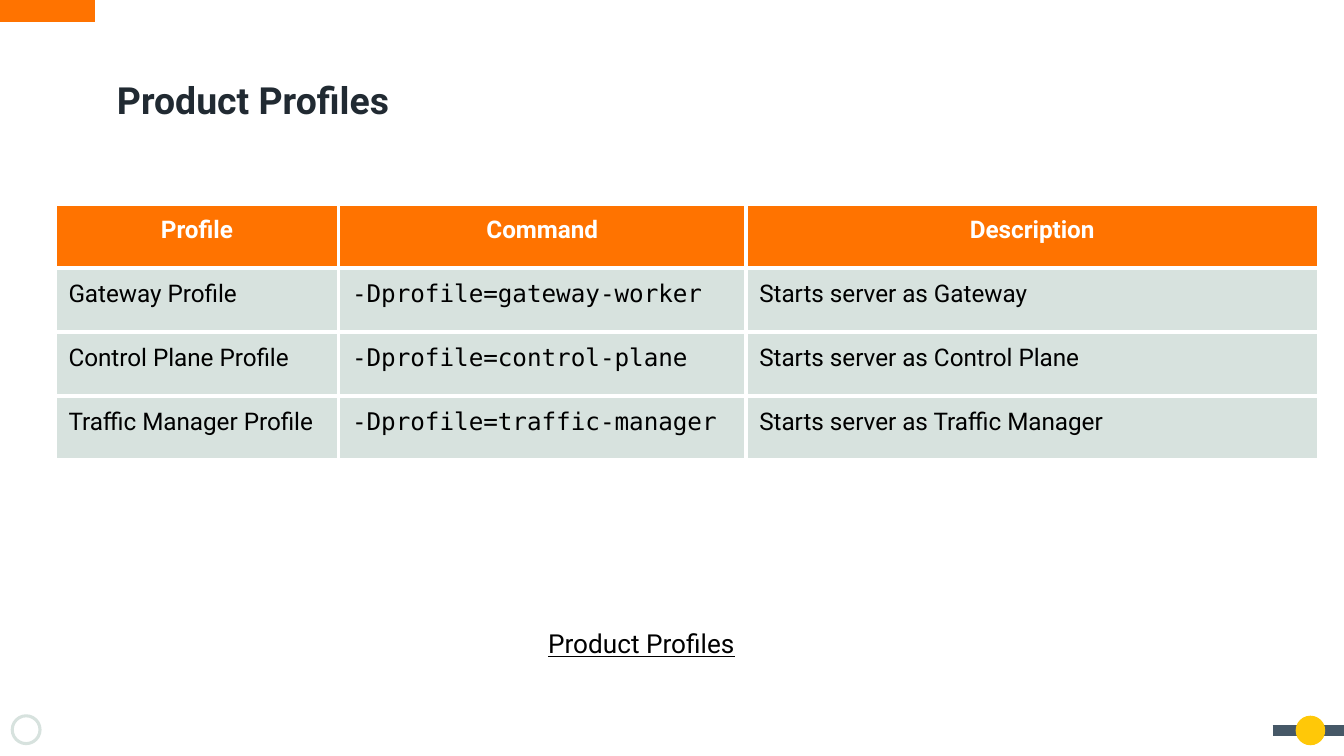
import dataclasses

import lxml.etree
import pptx
import pptx.dml.color
import pptx.enum.shapes
import pptx.enum.text
import pptx.oxml.ns
import pptx.util

Inches = pptx.util.Inches
Align = pptx.enum.text.PP_ALIGN
Anchor = pptx.enum.text.MSO_ANCHOR
Shape = pptx.enum.shapes.MSO_SHAPE


@dataclasses.dataclass(frozen=True)
class Theme:
    orange: str = "FF7300"
    slate: str = "465867"
    yellow: str = "FFC808"
    pale: str = "D7E2DE"
    ink: str = "212A32"
    black: str = "000000"
    white: str = "FFFFFF"
    sans: str = "Roboto"
    mono: str = "DejaVu Sans Mono"
    title_size: float = 20
    caption_size: float = 14
    table_size: float = 13
    border_width: float = 2.25


THEME = Theme()
HEADINGS = ("Profile", "Command", "Description")
PROFILES = (
    ("Gateway Profile", "-Dprofile=gateway-worker", "Starts server as Gateway"),
    ("Control Plane Profile", "-Dprofile=control-plane", "Starts server as Control Plane"),
    ("Traffic Manager Profile", "-Dprofile=traffic-manager", "Starts server as Traffic Manager"),
)


def color(value):
    return pptx.dml.color.RGBColor.from_string(value)


def apply(target, values):
    for name, value in values.items():
        setattr(target, name, value)


def add_xml(parent, tag, **attributes):
    return lxml.etree.SubElement(parent, pptx.oxml.ns.qn(tag), attributes)


def write(frame, text, ink, align=Align.LEFT, **font):
    para = frame.paragraphs[0]
    para.alignment = align
    span = para.add_run()
    span.text = text
    apply(span.font, font)
    span.font.color.rgb = color(ink)


def set_frame(frame, anchor):
    apply(frame, {
        "word_wrap": True,
        "auto_size": pptx.enum.text.MSO_AUTO_SIZE.NONE,
        "vertical_anchor": anchor,
        "margin_left": Inches(0.1),
        "margin_right": Inches(0.1),
        "margin_top": Inches(0.1),
        "margin_bottom": Inches(0.1),
    })


def add_bar(page, left, right, middle, ink, width):
    bar = page.shapes.add_connector(
        pptx.enum.shapes.MSO_CONNECTOR.STRAIGHT,
        Inches(left), Inches(middle), Inches(right), Inches(middle))
    bar.line.color.rgb = color(ink)
    bar.line.width = pptx.util.Pt(width)
    add_xml(bar.element.spPr, "a:effectLst")


def add_round(page, kind, left, top, size, ink):
    mark = page.shapes.add_shape(kind, Inches(left), Inches(top), Inches(size), Inches(size))
    mark.shadow.inherit = False
    mark.fill.solid()
    mark.fill.fore_color.rgb = color(ink)
    mark.line.fill.background()
    return mark


def add_decoration(page, width, height):
    add_bar(page, 0, 0.71, 0.08, THEME.orange, 12)
    add_bar(page, width - 0.53, width, height - 0.19, THEME.slate, 6)
    add_round(page, Shape.OVAL, width - 0.36, height - 0.3, 0.22, THEME.yellow)
    ring = add_round(page, Shape.DONUT, 0.08, height - 0.31, 0.23, THEME.pale)
    ring.adjustments[0] = 0.1


def add_title(page, left, top, width, height):
    title = page.shapes.title
    apply(title, {"left": Inches(left), "top": Inches(top),
                  "width": Inches(width), "height": Inches(height)})
    set_frame(title.text_frame, Anchor.MIDDLE)
    write(title.text_frame, "Product Profiles", THEME.ink, name=THEME.sans,
          size=pptx.util.Pt(THEME.title_size), bold=True)


def add_caption(page, left, top, width, height):
    caption = page.shapes.add_textbox(Inches(left), Inches(top), Inches(width), Inches(height))
    set_frame(caption.text_frame, Anchor.TOP)
    write(caption.text_frame, "Product Profiles", THEME.black, name=THEME.sans,
          size=pptx.util.Pt(THEME.caption_size), underline=True)


def format_cell(cell, fill):
    apply(cell, {"margin_left": Inches(0.1), "margin_right": Inches(0.1),
                 "margin_top": Inches(0.09), "margin_bottom": Inches(0.09),
                 "vertical_anchor": Anchor.TOP})
    properties = cell._tc.get_or_add_tcPr()
    for side in ("L", "R", "T", "B"):
        edge = add_xml(properties, f"a:ln{side}", w=str(pptx.util.Pt(THEME.border_width)))
        add_xml(add_xml(edge, "a:solidFill"), "a:srgbClr", val=THEME.white)
    cell.fill.solid()
    cell.fill.fore_color.rgb = color(fill)


def add_profile_table(page, left, top, column_widths, height):
    rows = (HEADINGS, *PROFILES)
    table = page.shapes.add_table(
        len(rows), len(HEADINGS), Inches(left), Inches(top),
        Inches(sum(column_widths)), Inches(height)).table
    table.horz_banding = False
    for column, width in zip(table.columns, column_widths):
        column.width = Inches(width)
    for row_index, texts in enumerate(rows):
        table.rows[row_index].height = Inches(height / len(rows))
        heading = row_index == 0
        for column_index, text in enumerate(texts):
            cell = table.cell(row_index, column_index)
            format_cell(cell, THEME.orange if heading else THEME.pale)
            command = column_index == 1 and not heading
            write(cell.text_frame, text,
                  THEME.white if heading else THEME.black,
                  Align.CENTER if heading else Align.LEFT,
                  name=THEME.mono if command else THEME.sans,
                  size=pptx.util.Pt(THEME.table_size), bold=heading)


def main():
    width = 10
    height = width * 9 / 16
    deck = pptx.Presentation()
    apply(deck, {"slide_width": Inches(width), "slide_height": Inches(height)})
    page = deck.slides.add_slide(deck.slide_layouts.get_by_name("Title Only"))
    page.background.fill.solid()
    page.background.fill.fore_color.rgb = color(THEME.white)
    add_decoration(page, width, height)
    add_caption(page, 3.98, 4.57, 1.78, 0.46)
    add_profile_table(page, 0.41, 1.52, (2.11, 3.03, 4.26), 1.9)
    add_title(page, 0.77, 0.5, 8.51, 0.48)
    deck.save("out.pptx")


if __name__ == "__main__":
    main()
